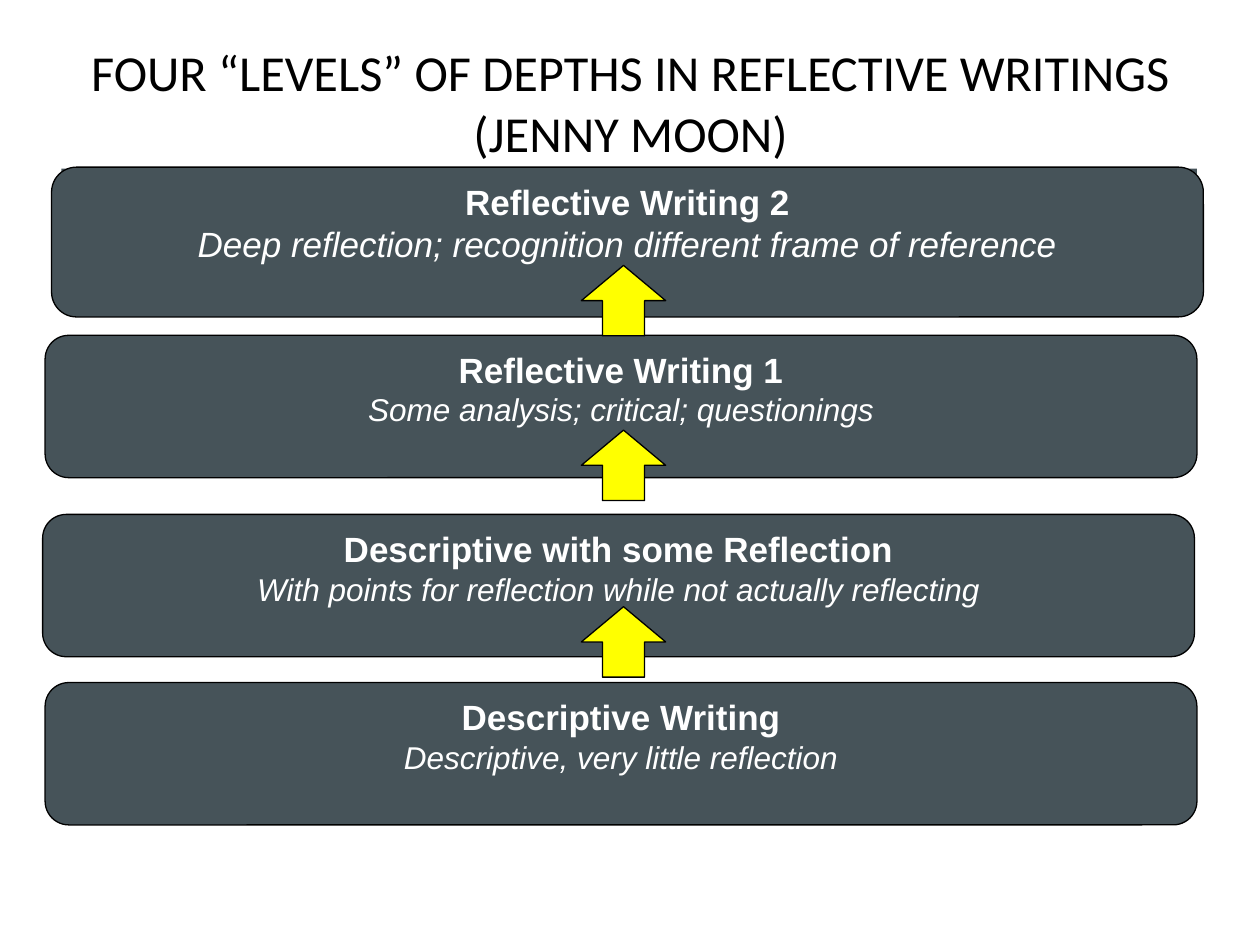
from pptx import Presentation
from pptx.dml.color import RGBColor
from pptx.enum.shapes import MSO_SHAPE
from pptx.enum.text import MSO_ANCHOR, PP_ALIGN
from pptx.util import Cm, Pt

RECT = MSO_SHAPE.RECTANGLE
ROUNDED = MSO_SHAPE.ROUNDED_RECTANGLE
ARROW = MSO_SHAPE.RIGHT_ARROW
TOP, BOTTOM = MSO_ANCHOR.TOP, MSO_ANCHOR.BOTTOM
CENTER = PP_ALIGN.CENTER

SLATE, YELLOW, WHITE, BLACK = "465359", "FFFF00", "FFFFFF", "000000"

# left, top, height, heading, description, description size
LEVELS = [
    (0.91, 13.76, 2.87, "Descriptive Writing",
     "Descriptive, very little reflection", 18),
    (0.86, 10.37, 2.87, "Descriptive with some Reflection",
     "With points for reflection while not actually reflecting", 18),
    (0.91, 6.76, 2.87, "Reflective Writing 1",
     "Some analysis; critical; questionings", 18),
    (1.04, 3.37, 3.02, "Reflective Writing 2",
     "Deep reflection; recognition different frame of reference", 20),
]
LEVEL_WIDTH = 23.22
ARROW_TOPS = [5.21, 8.53, 12.09]


def rgb(value):
    return RGBColor.from_string(value)


def add_block(slide, shape_type, left, top, width, height, fill, line=None):
    sp = slide.shapes.add_shape(
        shape_type, Cm(left), Cm(top), Cm(width), Cm(height))
    sp.shadow.inherit = False
    sp.fill.solid()
    sp.fill.fore_color.rgb = rgb(fill)
    if line:
        sp.line.color.rgb = rgb(line)
        sp.line.width = Pt(0.75)
    else:
        sp.line.fill.background()
    return sp


def style_paragraph(p, font, size, color, bold=False, italic=False):
    p.alignment = CENTER
    for r in p.runs:
        r.font.name = font
        r.font.size = Pt(size)
        r.font.color.rgb = rgb(color)
        r.font.bold = bold
        r.font.italic = italic


def add_title(slide, text):
    sp = add_block(slide, RECT, 0, -0.41, 25.43, 3.81, WHITE)
    tf = sp.text_frame
    tf.vertical_anchor = BOTTOM
    tf.text = text
    style_paragraph(tf.paragraphs[0], "Calibri", 28.8, BLACK)


def add_level(slide, left, top, height, heading, description, size):
    sp = add_block(slide, ROUNDED, left, top, LEVEL_WIDTH, height, SLATE, BLACK)
    tf = sp.text_frame
    tf.vertical_anchor = TOP
    tf.text = f"{heading}\n{description}"
    first, second = tf.paragraphs
    style_paragraph(first, "Arial", 20, WHITE, bold=True)
    style_paragraph(second, "Arial", size, WHITE, italic=True)


def add_up_arrow(slide, top):
    sp = add_block(slide, ARROW, 11.86, top, 1.42, 1.7, YELLOW, BLACK)
    sp.rotation = 270


def main():
    prs = Presentation()
    prs.slide_width, prs.slide_height = Cm(25.4), Cm(19.05)
    slide = prs.slides.add_slide(prs.slide_layouts[6])

    add_block(slide, RECT, 1.24, 1.68, 22.89, 3.51, SLATE)
    add_title(slide, "FOUR “LEVELS” OF DEPTHS IN REFLECTIVE WRITINGS\v(JENNY MOON)")
    for level in LEVELS:
        add_level(slide, *level)
    for top in ARROW_TOPS:
        add_up_arrow(slide, top)

    prs.save("out.pptx")


if __name__ == "__main__":
    main()
